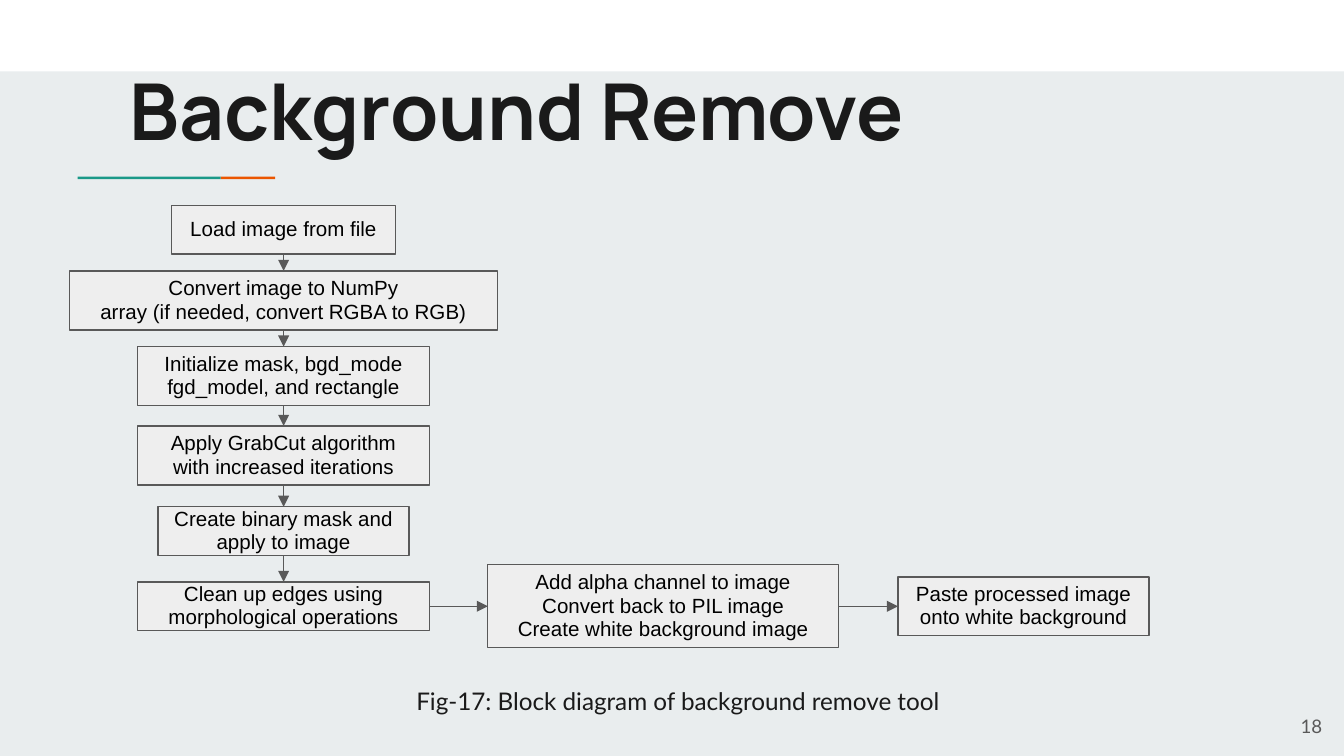
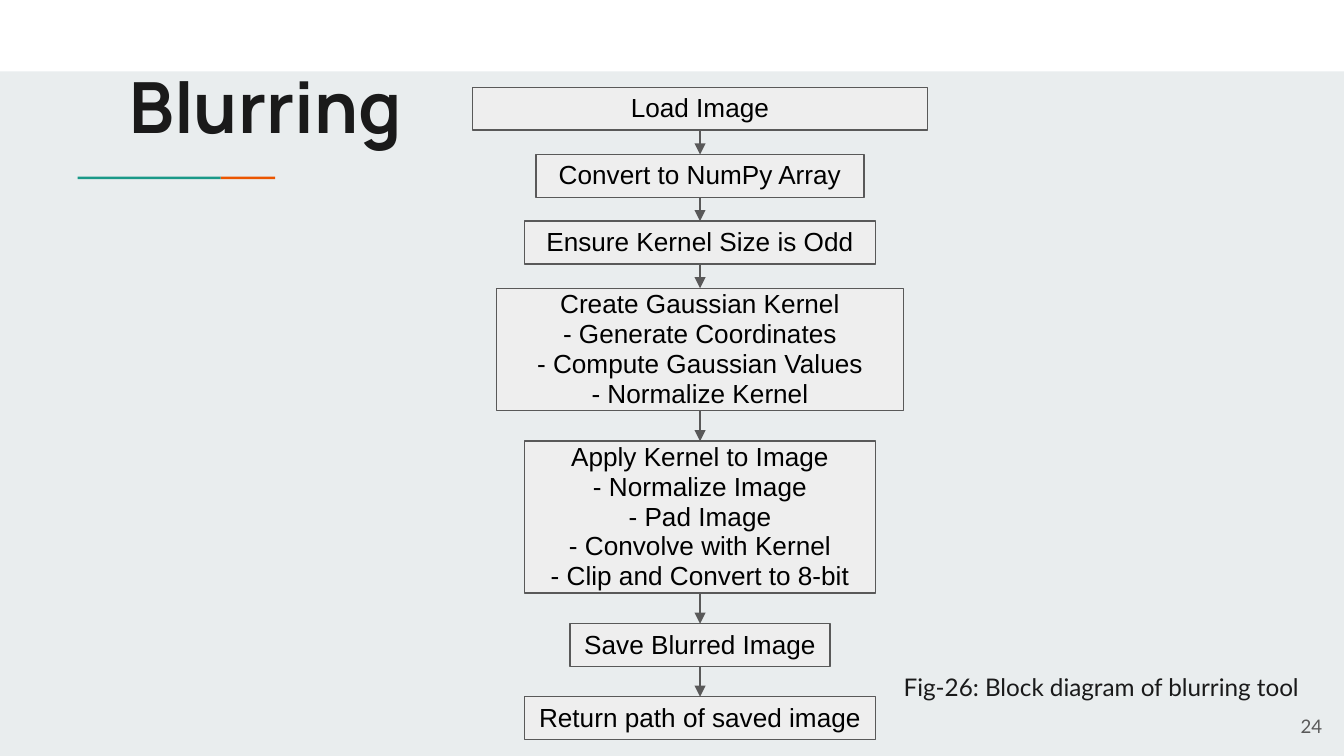
from itertools import pairwise

from lxml.etree import SubElement
from pptx import Presentation
from pptx.dml.color import RGBColor
from pptx.enum.shapes import MSO_CONNECTOR as Connector, MSO_SHAPE as Shape
from pptx.enum.text import MSO_ANCHOR as Anchor, MSO_AUTO_SIZE as AutoSize, PP_ALIGN as Align
from pptx.oxml.ns import qn
from pptx.util import Cm, Pt

PALE = RGBColor(0xE9, 0xED, 0xEE)
WHITE = RGBColor(0xFF, 0xFF, 0xFF)
TEAL = RGBColor(0x1A, 0x99, 0x88)
ORANGE = RGBColor(0xEB, 0x56, 0x00)
INK = RGBColor(0x1A, 0x1A, 0x1A)
GREY = RGBColor(0x59, 0x59, 0x59)
BOX_FILL = RGBColor(0xEE, 0xEE, 0xEE)
BLACK = RGBColor(0x00, 0x00, 0x00)

TOP, LEFT, BOTTOM, RIGHT = range(4)
INSET = 0.25

REMOVE_CENTER = 5.36
REMOVE_ROW = 11.46
REMOVE_COLUMN = [
    ("Load image from file", 3.88, 4.24, 0.92),
    ("Convert image to NumPy\narray (if needed, convert RGBA to RGB)", 5.12, 8.08, 1.12),
    ("Initialize mask, bgd_mode fgd_model, and rectangle", 6.55, 5.51, 1.12),
    ("Apply GrabCut algorithm with increased iterations", 8.05, 5.51, 1.12),
    ("Create binary mask and apply to image", 9.58, 4.75, 0.92),
    ("Clean up edges using morphological operations", 11, 5.51, 0.92),
]
REMOVE_TAIL = [
    ("Add alpha channel to image\nConvert back to PIL image\nCreate white background image",
     9.22, 6.63, 1.57),
    ("Paste processed image onto white background", 16.97, 4.75, 1.1),
]

BLUR_CENTER = 13.23
BLUR_COLUMN = [
    ("Load Image", 1.65, 8.6, 0.81),
    ("Convert to NumPy Array", 2.92, 6.2, 0.81),
    ("Ensure Kernel Size is Odd", 4.18, 6.63, 0.81),
    ("Create Gaussian Kernel\n- Generate Coordinates\n- Compute Gaussian Values\n"
     "- Normalize Kernel", 5.45, 7.7, 2.31),
    ("Apply Kernel to Image\n- Normalize Image\n- Pad Image\n- Convolve with Kernel\n"
     "- Clip and Convert to 8-bit", 8.34, 6.63, 2.87),
    ("Save Blurred Image", 11.79, 4.92, 0.81),
    ("Return path of saved image", 13.17, 6.63, 0.81),
]


def write(shape, text, font, size, color, align=Align.LEFT, anchor=Anchor.TOP,
          bold=False, margin=INSET, spacing=1.0):
    frame = shape.text_frame
    frame.word_wrap = True
    frame.auto_size = AutoSize.NONE
    frame.vertical_anchor = anchor
    frame.margin_left = frame.margin_right = Cm(INSET)
    frame.margin_top = frame.margin_bottom = Cm(margin)
    frame.text = text
    for para in frame.paragraphs:
        para.alignment = align
        para.line_spacing = spacing
        para.font.name = font
        para.font.size = Pt(size)
        para.font.bold = bold
        para.font.color.rgb = color


def add_rect(page, left, top, width, height, fill):
    rect = page.shapes.add_shape(Shape.RECTANGLE, Cm(left), Cm(top), Cm(width), Cm(height))
    rect.shadow.inherit = False
    rect.fill.solid()
    rect.fill.fore_color.rgb = fill
    rect.line.fill.background()
    return rect


def add_label(page, text, left, top, width, height, size, color, **layout):
    label = page.shapes.add_textbox(Cm(left), Cm(top), Cm(width), Cm(height))
    write(label, text, "Lato", size, color, **layout)


def add_page(deck, title, title_size, number):
    page = deck.slides.add_slide(deck.slide_layouts[5])
    add_rect(page, 0, 0, 25.4, 1.35, WHITE)
    add_rect(page, 4.17, 3.34, 1.03, 0.05, ORANGE)
    add_rect(page, 1.47, 3.34, 2.7, 0.05, TEAL)
    heading = page.shapes.title
    heading.left, heading.top = Cm(2.2), Cm(0.93)
    heading.width, heading.height = Cm(21.36), Cm(2.31)
    write(heading, title, "Manrope", title_size, INK, bold=True)
    add_label(page, number, 23.72, 13.18, 1.52, 1.09, 10, GREY,
              align=Align.RIGHT, anchor=Anchor.MIDDLE)
    return page


def add_step(page, text, left, top, width, height, size):
    step = add_rect(page, left, top, width, height, BOX_FILL)
    step.line.color.rgb = GREY
    step.line.width = Pt(0.75)
    write(step, text, "Arial", size, BLACK, align=Align.CENTER, anchor=Anchor.MIDDLE,
          margin=0, spacing=0.95)
    return step


def add_arrow(page, start, start_side, end, end_side):
    arrow = page.shapes.add_connector(Connector.STRAIGHT, 0, 0, 0, 0)
    arrow.begin_connect(start, start_side)
    arrow.end_connect(end, end_side)
    arrow.line.color.rgb = GREY
    arrow.line.width = Pt(0.75)
    properties = arrow._element.spPr
    SubElement(properties.find(qn("a:ln")), qn("a:tailEnd"), type="triangle")
    SubElement(properties, qn("a:effectLst"))


def add_column(page, steps, center, size):
    boxes = [add_step(page, text, center - width / 2, top, width, height, size)
             for text, top, width, height in steps]
    for upper, lower in pairwise(boxes):
        add_arrow(page, upper, BOTTOM, lower, TOP)
    return boxes


def add_row(page, first, steps, middle, size):
    boxes = [first] + [add_step(page, text, left, middle - height / 2, width, height, size)
                       for text, left, width, height in steps]
    for before, after in pairwise(boxes):
        add_arrow(page, before, RIGHT, after, LEFT)


def main():
    deck = Presentation()
    deck.slide_width, deck.slide_height = Cm(25.4), Cm(14.29)
    background = deck.slide_master.background.fill
    background.solid()
    background.fore_color.rgb = PALE

    page = add_page(deck, "Background Remove", 42, "18")
    column = add_column(page, REMOVE_COLUMN, REMOVE_CENTER, 11)
    add_row(page, column[-1], REMOVE_TAIL, REMOVE_ROW, 11)
    add_label(page, "Fig-17: Block diagram of background remove tool",
              7.62, 12.73, 10.52, 0.86, 13, INK)

    page = add_page(deck, "Blurring", 37.8, "24")
    add_column(page, BLUR_COLUMN, BLUR_CENTER, 14)
    add_label(page, "Fig-26: Block diagram of blurring tool",
              16.83, 12.45, 8.05, 0.86, 13, INK)

    deck.save("out.pptx")


if __name__ == "__main__":
    main()
